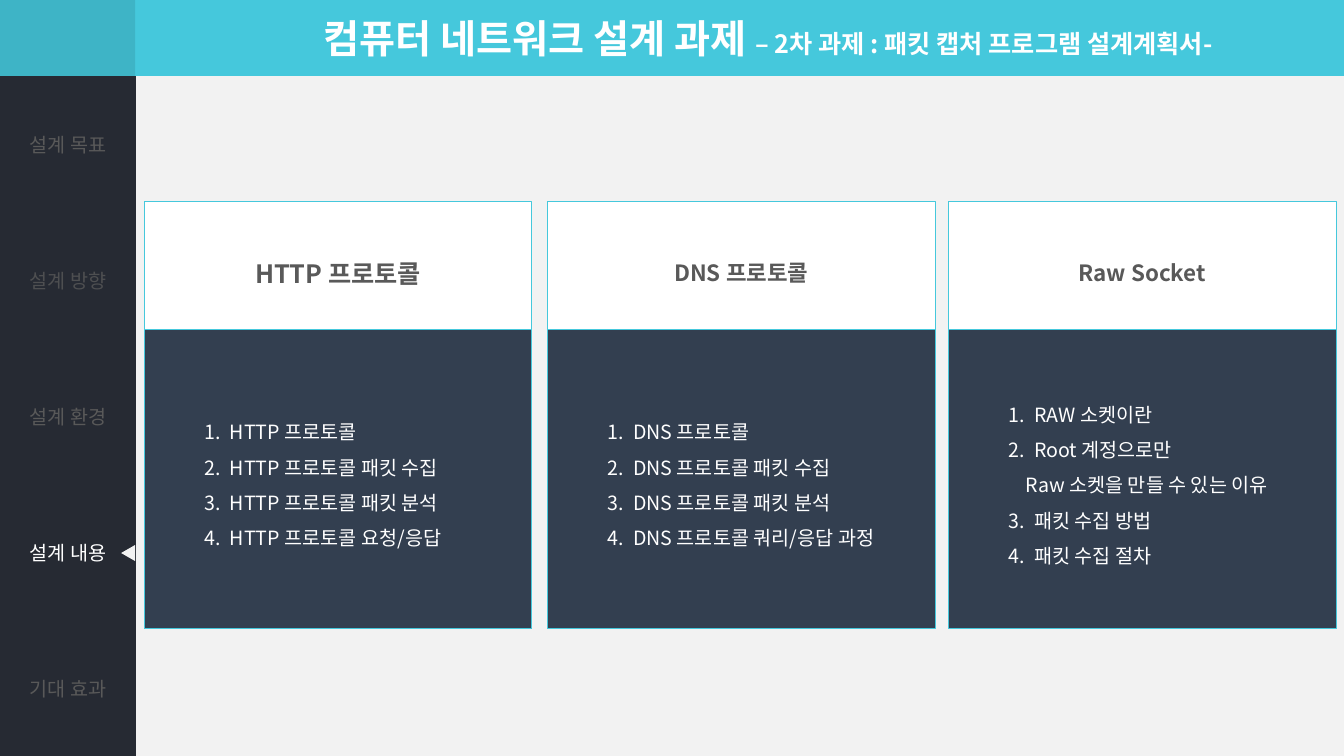
import pptx
import pptx.util
import pptx.dml.color
import pptx.enum.shapes
import pptx.enum.text
import pptx.oxml.ns
import lxml.etree

Pt = pptx.util.Pt
ALIGN = pptx.enum.text.PP_ALIGN
MIDDLE = pptx.enum.text.MSO_ANCHOR.MIDDLE
SHAPE = pptx.enum.shapes.MSO_SHAPE
qn = pptx.oxml.ns.qn
FONT = "Noto Sans CJK KR"
COLORS = {
    "cyan": "45C8DC", "corner": "3EB4C6", "page": "F2F2F2", "white": "FFFFFF",
    "menu": "262A33", "navy": "333F50", "gray": "595959", "dim": "4E4F51",
}


def rgb(name):
    return pptx.dml.color.RGBColor.from_string(COLORS[name])


def style_runs(paragraph, size, color, bold=False):
    for run in paragraph.runs:
        run.font.size = Pt(size)
        run.font.bold = bold
        run.font.name = FONT
        run.font.color.rgb = rgb(color)
        east_asian = lxml.etree.Element(qn("a:ea"), typeface=FONT)
        run.font._element.find(qn("a:latin")).addnext(east_asian)


presentation = pptx.Presentation()
presentation.slide_width, presentation.slide_height = Pt(960), Pt(540)
slide = presentation.slides.add_slide(presentation.slide_layouts[4])
shapes = slide.shapes

# Background: cyan band over a light page
background = slide.background.fill
background.gradient()
background.gradient_angle = 270
for stop, color in zip(background.gradient_stops, ("cyan", "page")):
    stop.position = 0.1
    stop.color.rgb = rgb(color)

# Title
title = shapes.title
title.left, title.top, title.width, title.height = Pt(224), Pt(6.5), Pt(736), Pt(41)
title.text_frame.auto_size = pptx.enum.text.MSO_AUTO_SIZE.NONE
title.text_frame.vertical_anchor = MIDDLE
heading = title.text_frame.paragraphs[0]
heading.alignment = ALIGN.LEFT
for part in ("컴퓨터 네트워크 설계 과제 ", "– 2차 과제 : 패킷 캡처 프로그램 설계계획서-"):
    heading.add_run().text = part
style_runs(heading, 28, "white", bold=True)
heading.runs[1].font.size = Pt(18)

# Corner block
corner = shapes.add_shape(SHAPE.RECTANGLE, 0, 0, Pt(96.5), Pt(54.5))
corner.shadow.inherit = False
corner.fill.solid()
corner.fill.fore_color.rgb = rgb("corner")
corner.line.fill.background()

# Side menu
menu_items = [("설계 목표", "gray"), ("설계 방향", "dim"), ("설계 환경", "gray"),
              ("설계 내용", "white"), ("기대 효과", "gray")]
menu = shapes.add_table(len(menu_items), 1, 0, Pt(54.5), Pt(97), Pt(485.5)).table
menu.first_row = menu.horz_banding = False
NO_STYLE = "{2D5ABB26-0587-4C30-8999-92F81FD0307C}"
menu._tbl.tblPr.find(qn("a:tableStyleId")).text = NO_STYLE
for row, (label, color) in enumerate(menu_items):
    cell = menu.cell(row, 0)
    cell.fill.solid()
    cell.fill.fore_color.rgb = rgb("menu")
    cell.vertical_anchor = MIDDLE
    cell.text_frame.text = label
    cell.text_frame.paragraphs[0].alignment = ALIGN.CENTER
    style_runs(cell.text_frame.paragraphs[0], 14, color)

# Marker of the current menu item
marker = shapes.add_shape(SHAPE.ISOSCELES_TRIANGLE, Pt(85.75), Pt(390), Pt(11.5), Pt(10))
marker.rotation = 270
marker.shadow.inherit = False
marker.fill.solid()
marker.fill.fore_color.rgb = rgb("page")
marker.line.fill.background()

# Cards: left, placeholder index, heading, heading size, (number, line) list
cards = [
    (103, 1, "HTTP 프로토콜", 18,
     [(1, "HTTP 프로토콜"), (1, "HTTP 프로토콜 패킷 수집"),
      (1, "HTTP 프로토콜 패킷 분석"), (1, "HTTP 프로토콜 요청/응답")]),
    (391, 2, "DNS 프로토콜", 16,
     [(1, "DNS 프로토콜"), (1, "DNS 프로토콜 패킷 수집"),
      (1, "DNS 프로토콜 패킷 분석"), (1, "DNS 프로토콜 쿼리/응답 과정")]),
    (677.5, 4, "Raw Socket", 16,
     [(1, "RAW 소켓이란"), (1, "Root 계정으로만"),
      (None, "Raw 소켓을 만들 수 있는 이유"),
      (3, "패킷 수집 방법"), (3, "패킷 수집 절차")]),
]
for left, index, topic, topic_size, steps in cards:
    details = slide.placeholders[index]
    details.left, details.top = Pt(left), Pt(235.5)
    details.width, details.height = Pt(277), Pt(213.5)
    topic_box = shapes.add_shape(SHAPE.RECTANGLE, Pt(left), Pt(144), Pt(277), Pt(91.5))
    topic_box.shadow.inherit = False
    for box, color in ((details, "navy"), (topic_box, "white")):
        box.fill.solid()
        box.fill.fore_color.rgb = rgb(color)
        box.line.color.rgb = rgb("cyan")
        box.line.width = Pt(0.75)
        box.text_frame.vertical_anchor = MIDDLE
        box.text_frame.auto_size = pptx.enum.text.MSO_AUTO_SIZE.NONE

    topic_box.text_frame.text = topic
    topic_line = topic_box.text_frame.paragraphs[0]
    topic_line.alignment = ALIGN.CENTER
    topic_line.line_spacing = 1.5
    style_runs(topic_line, topic_size, "gray", bold=True)

    details.text_frame.text = "\n".join(line for number, line in steps)
    for paragraph, (number, line) in zip(details.text_frame.paragraphs, steps):
        paragraph.alignment = ALIGN.LEFT
        paragraph.line_spacing = 1.5
        paragraph.space_before = Pt(0)
        style_runs(paragraph, 14, "white")
        properties = paragraph._p.get_or_add_pPr()
        properties.set("marL", str(Pt(54 if number else 48)))
        properties.set("indent", str(Pt(-18 if number else 0)))
        if number:
            bullet = lxml.etree.SubElement(properties, qn("a:buAutoNum"), type="arabicPeriod")
            if number > 1:
                bullet.set("startAt", str(number))
        else:
            lxml.etree.SubElement(properties, qn("a:buNone"))

# Unused placeholder of the layout
unused = slide.placeholders[3]._element
unused.getparent().remove(unused)

presentation.save("out.pptx")
